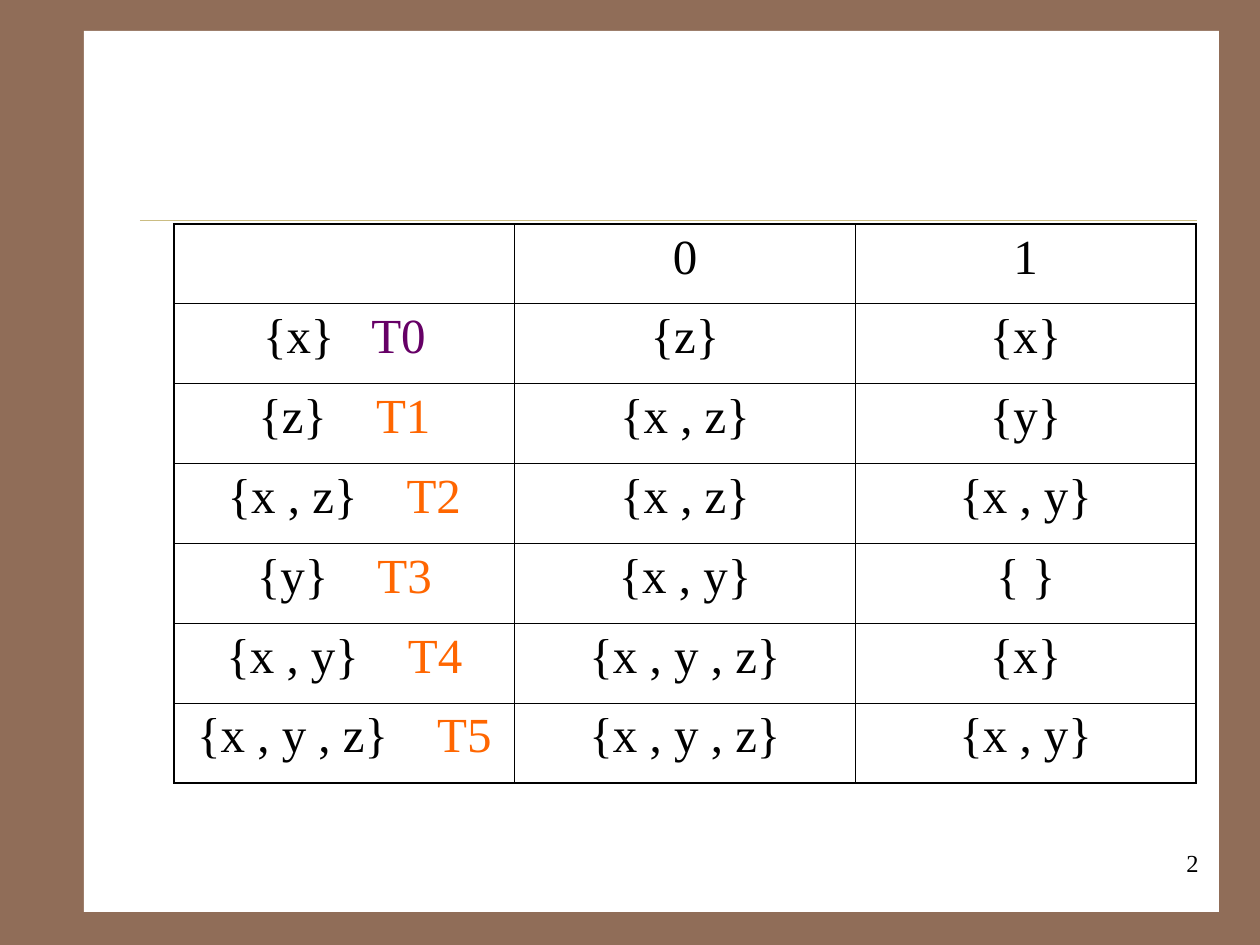
import pptx
import pptx.util
import pptx.dml.color
import pptx.enum.shapes
import pptx.enum.text
import pptx.oxml.ns
from lxml import etree

EMU_PER_PX = 914400 / 126
COLORS = {
    "frame": "906D58",
    "paper": "FFFFFF",
    "rule": "CBBD83",
    "ink": "000000",
    "start": "660066",
    "state": "FF6600",
}
FONT = "Times New Roman"
THIN, THICK = 0.45, 1.08
SPACE_WIDTH = 7  # points, one space of the table text

# (state set, name, spaces between them), next set on 0, next set on 1
TRANSITIONS = [
    (("{x}", "T0", 3), "{z}", "{x}"),
    (("{z}", "T1", 4), "{x , z}", "{y}"),
    (("{x , z}", "T2", 4), "{x , z}", "{x , y}"),
    (("{y}", "T3", 4), "{x , y}", "{ }"),
    (("{x , y}", "T4", 4), "{x , y , z}", "{x}"),
    (("{x , y , z}", "T5", 4), "{x , y , z}", "{x , y}"),
]


def px(n):
    return pptx.util.Emu(round(n * EMU_PER_PX))


def rgb(name):
    return pptx.dml.color.RGBColor.from_string(COLORS[name])


def add_run(p, text, size, color="ink"):
    r = p.add_run()
    r.text = text
    r.font.name = FONT
    r.font.size = pptx.util.Pt(size)
    r.font.color.rgb = rgb(color)
    return r


def add_gap(p, size, spaces):
    """Add one space, tracked out to the width of several."""
    r = add_run(p, " ", size)
    r._r.get_or_add_rPr().set("spc", str((spaces - 1) * SPACE_WIDTH * 100))


def set_borders(cell, widths):
    """Draw the left, right, top and bottom borders, widths in points."""
    tc_pr = cell._tc.get_or_add_tcPr()
    qn = pptx.oxml.ns.qn
    for i, (side, width) in enumerate(zip("LRTB", widths)):
        ln = etree.Element(qn(f"a:ln{side}"), w=str(pptx.util.Pt(width)))
        fill = etree.SubElement(ln, qn("a:solidFill"))
        etree.SubElement(fill, qn("a:srgbClr"), val=COLORS["ink"])
        tc_pr.insert(i, ln)


def add_paper(s, x, y, w, h):
    sp = s.shapes.add_shape(pptx.enum.shapes.MSO_SHAPE.RECTANGLE,
                            px(x), px(y), px(w), px(h))
    sp.shadow.inherit = False
    sp.fill.solid()
    sp.fill.fore_color.rgb = rgb("paper")
    sp.line.fill.background()


def add_title_rule(s, x, y, w):
    line = s.shapes.add_connector(pptx.enum.shapes.MSO_CONNECTOR.STRAIGHT,
                                  px(x), px(y), px(x + w), px(y))
    line.line.color.rgb = rgb("rule")
    line.line.width = pptx.util.Pt(0.25)
    etree.SubElement(line._element.spPr, pptx.oxml.ns.qn("a:effectLst"))


def add_transition_table(s, x, y, w, h):
    rows = [("", "0", "1")] + TRANSITIONS
    n_rows, n_cols = len(rows), len(rows[0])
    table = s.shapes.add_table(n_rows, n_cols, px(x), px(y), px(w), px(h)).table
    table.first_row = table.horz_banding = False
    for column in table.columns:
        column.width = px(w / n_cols)
    for row in table.rows:
        row.height = px(h / n_rows)
    for i, row in enumerate(rows):
        for j, content in enumerate(row):
            cell = table.cell(i, j)
            cell.fill.background()
            outer = (j == 0, j == n_cols - 1, i == 0, i == n_rows - 1)
            set_borders(cell, [THICK if edge else THIN for edge in outer])
            p = cell.text_frame.paragraphs[0]
            p.alignment = pptx.enum.text.PP_ALIGN.CENTER
            if isinstance(content, tuple):
                state, name, spaces = content
                add_run(p, state, 28)
                add_gap(p, 28, spaces)
                add_run(p, name, 28, "start" if name == "T0" else "state")
            elif content:
                add_run(p, content, 28)


def add_page_number(s, x, y, w, h, number):
    tf = s.shapes.add_textbox(px(x), px(y), px(w), px(h)).text_frame
    tf.word_wrap = True
    p = tf.paragraphs[0]
    p.alignment = pptx.enum.text.PP_ALIGN.RIGHT
    add_run(p, number, 14)


def main():
    prs = pptx.Presentation()
    prs.slide_width, prs.slide_height = px(1260), px(945)
    s = prs.slides.add_slide(prs.slide_layouts[6])
    s.background.fill.solid()
    s.background.fill.fore_color.rgb = rgb("frame")
    add_paper(s, 84, 31, 1135, 881)
    add_title_rule(s, 140, 220, 1057)
    add_transition_table(s, 174, 224, 1022, 559)
    add_page_number(s, 949, 842, 262, 63, "2")
    prs.save("out.pptx")


if __name__ == "__main__":
    main()
